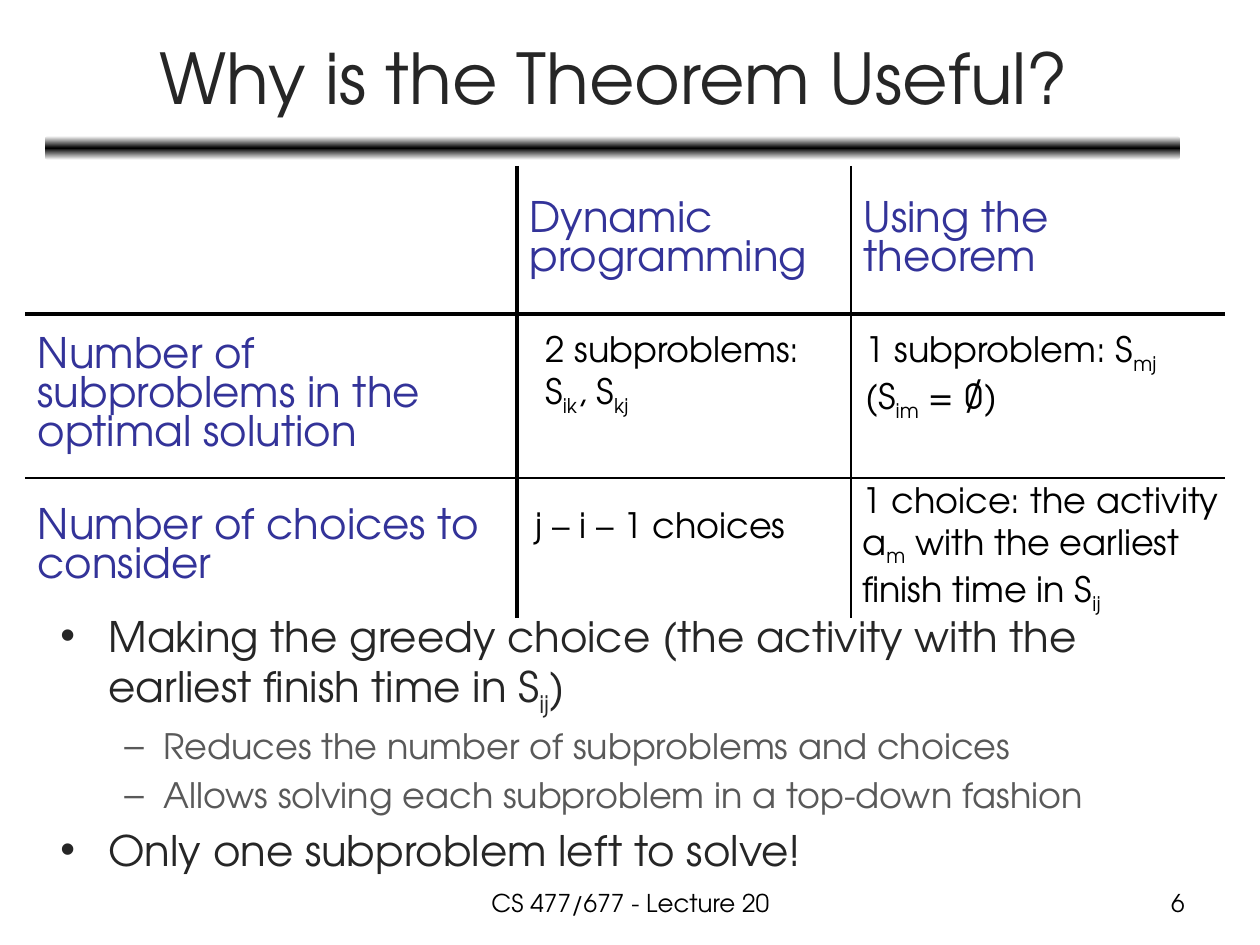
from lxml.etree import SubElement
from pptx import Presentation
from pptx.dml.color import RGBColor
from pptx.enum.shapes import MSO_SHAPE as SHAPE
from pptx.enum.text import MSO_ANCHOR as ANCHOR, PP_ALIGN as ALIGN
from pptx.oxml import parse_xml
from pptx.oxml.ns import nsdecls, qn
from pptx.util import Pt

PX = 914400 / 126
FONT = "TeX Gyre Adventor"
COLORS = {"black": "000000", "title": "262626", "sub": "595959", "heading": "333399"}


def write_lines(frame, lines, size, color, align=ALIGN.LEFT):
    """Each line is a list of pieces: normal and subscript text by turns."""
    for i, pieces in enumerate(lines):
        line = frame.paragraphs[0] if i == 0 else frame.add_paragraph()
        line.alignment = align
        line.font.name = FONT
        line.font.size = Pt(size)
        line.font.color.rgb = RGBColor.from_string(COLORS[color])
        for n, piece in enumerate(pieces):
            run = line.add_run()
            run.text = piece
            if n % 2:
                run.font._element.set("baseline", "-25000")


def add_text(box, lines, size, color, align=ALIGN.LEFT, wrap=True):
    frame = slide.shapes.add_textbox(*[round(v * PX) for v in box]).text_frame
    frame.word_wrap = wrap
    write_lines(frame, lines, size, color, align)
    return frame


prs = Presentation()
prs.slide_width, prs.slide_height = round(1260 * PX), round(945 * PX)
slide = prs.slides.add_slide(prs.slide_layouts[6])

# Title and the shaded bar under it
title = add_text((47, 14, 1134, 125), [["Why is the Theorem Useful?"]], 40, "title", ALIGN.CENTER)
title.vertical_anchor = ANCHOR.MIDDLE

bar = slide.shapes.add_shape(SHAPE.ROUNDED_RECTANGLE, *[round(v * PX) for v in (45, 136, 1135, 24)])
bar.shadow.inherit = False
bar.line.fill.background()
bar.fill.gradient()
bar.fill.gradient_angle = 90
stops = bar._element.spPr.find(qn("a:gradFill")).find(qn("a:gsLst"))
for stop in list(stops):
    stops.remove(stop)
for position, shade in ((0, "FFFFFF"), (50000, "000000"), (100000, "FFFFFF")):
    stop = SubElement(stops, qn("a:gs"), pos=str(position))
    SubElement(stop, qn("a:srgbClr"), val=shade)

# Comparison table
headings = [
    ["", "Dynamic programming", "Using the theorem"],
    ["Number of subproblems in the optimal solution", "", ""],
    ["Number of choices to consider", "", ""],
]
widths, heights = [492, 334, 374], [148, 141, 140]
column_rules, row_rules = [2.25, 1], [2.25, 1]
comparison = slide.shapes.add_table(
    3, 3, *[round(v * PX) for v in (25, 166, sum(widths), sum(heights))]).table
comparison.first_row = comparison.horz_banding = False
for column, width in zip(comparison.columns, widths):
    column.width = round(width * PX)
for row, height in zip(comparison.rows, heights):
    row.height = round(height * PX)

for r, texts in enumerate(headings):
    for c, text in enumerate(texts):
        cell = comparison.cell(r, c)
        cell.fill.background()
        cell.vertical_anchor = ANCHOR.MIDDLE
        if text:
            write_lines(cell.text_frame, [[text]], 24, "heading")
            cell.text_frame.paragraphs[0].space_before = Pt(4.8)
        # Only the inner rules are drawn
        edges = {
            "lnL": column_rules[c - 1] if c > 0 else 0,
            "lnR": column_rules[c] if c < 2 else 0,
            "lnT": row_rules[r - 1] if r > 0 else 0,
            "lnB": row_rules[r] if r < 2 else 0,
        }
        for n, (edge, weight) in enumerate(edges.items()):
            paint = (f'<a:solidFill><a:srgbClr val="{COLORS["black"]}"/></a:solidFill>'
                     if weight else "<a:noFill/>")
            cell._tc.get_or_add_tcPr().insert(n, parse_xml(
                f'<a:{edge} {nsdecls("a")} w="{Pt(weight)}">{paint}</a:{edge}>'))

# Answers laid over the table
answers = [
    ((533, 321, 282, 97), [["2 subproblems:"], ["S", "ik", ", S", "kj"]]),
    ((523, 497, 280, 55), [["j – i – 1 choices"]]),
    ((850, 472, 384, 140), [["1 choice: the activity"], ["a", "m", " with the earliest"],
                            ["finish time in S", "ij"]]),
    ((853, 321, 324, 97), [["1 subproblem: S", "mj"], ["(S", "im", " = ∅)"]]),
]
for box, lines in answers:
    add_text(box, lines, 20, "black", wrap=False)

# Conclusions
conclusions = [
    (0, ["Making the greedy choice (the activity with the earliest finish time in S", "ij", ")"]),
    (1, ["Reduces the number of subproblems and choices"]),
    (1, ["Allows solving each subproblem in a top-down fashion"]),
    (0, ["Only one subproblem left to solve!"]),
]
levels = [(24, "title", "•", 48, 48), (20, "sub", "–", 103, 39)]
body = add_text((48, 604, 1181, 304), [pieces for _, pieces in conclusions], 24, "title")
for point, (level, _) in zip(body.paragraphs, conclusions):
    size, color, bullet, margin, hang = levels[level]
    point.level = level
    point.font.size = Pt(size)
    point.font.color.rgb = RGBColor.from_string(COLORS[color])
    point.space_before = Pt(size * 0.2)
    props = point._p.get_or_add_pPr()
    props.set("marL", str(round(margin * PX)))
    props.set("indent", str(round(-hang * PX)))
    for mark in ('buFont {} typeface="Arial"', f'buChar {{}} char="{bullet}"'):
        props.find(qn("a:defRPr")).addprevious(
            parse_xml(f'<a:{mark.format(nsdecls("a"))}/>'))

# Footer and page number
add_text((431, 882, 399, 44), [["CS 477/677 - Lecture 20"]], 14, "black", ALIGN.CENTER)
add_text((903, 882, 294, 44), [["6"]], 14, "black", ALIGN.RIGHT)

prs.save("out.pptx")
